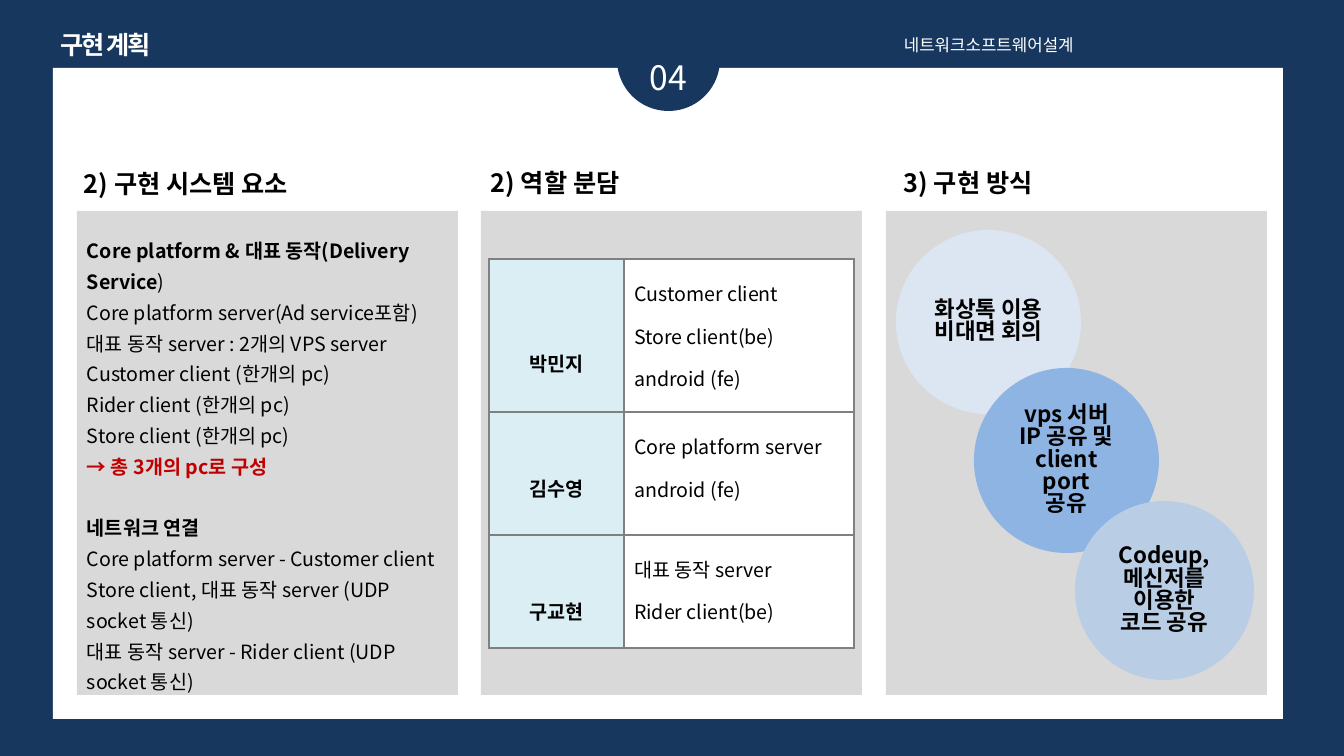
from dataclasses import dataclass

from lxml import etree
from pptx import Presentation
from pptx import util as u
from pptx.dml.color import RGBColor
from pptx.enum import shapes, text
from pptx.oxml.ns import qn

PX = 12192000 / 1344  # EMU in one px
CENTER, JUSTIFY = text.PP_ALIGN.CENTER, text.PP_ALIGN.JUSTIFY
TOP, MIDDLE = text.MSO_ANCHOR.TOP, text.MSO_ANCHOR.MIDDLE


@dataclass(frozen=True)
class Theme:
    font: str = "Noto Sans CJK KR"
    navy: str = "17375E"
    white: str = "FFFFFF"
    black: str = "000000"
    red: str = "C00000"
    panel: str = "D9D9D9"
    name_cell: str = "DBEEF4"
    border: str = "808080"
    circles: tuple = ("DCE6F2", "8EB4E3", "B9CDE5")
    heading: int = 18
    badge: int = 24
    course: int = 12
    body: int = 14
    circle: int = 16


THEME = Theme()
COLUMN_X = [77 + i * 809 // 2 for i in range(3)]
HEADINGS = [(74, 163, "2) 구현 시스템 요소"), (481, 162, "2) 역할 분담"),
            (894, 162, "3) 구현 방식")]

BOLD = {"bold": True}
RED_BOLD = {"bold": True, "color": THEME.red}
SYSTEM_LINES = [
    [("Core platform & 대표 동작(Delivery Service", BOLD), (")", {})],
    "Core platform server(Ad service포함)",
    "대표 동작 server : 2개의 VPS server",
    "Customer client (한개의 pc)",
    "Rider client (한개의 pc)",
    "Store client (한개의 pc)",
    [("→ 총 3개의 pc로 구성", RED_BOLD)],
]
NETWORK_LINES = [
    [("네트워크 연결", BOLD)],
    "Core platform server - Customer client",
    "Store client, 대표 동작 server (UDP socket 통신)",
    "대표 동작 server - Rider client (UDP socket 통신)",
]
# row height, space above the name, name, tasks
ROLES = [
    (153, 90, "박민지", ["Customer client", "Store client(be)", "android (fe)"]),
    (123, 62, "김수영", ["Core platform server", "android (fe)"]),
    (113, 62, "구교현", ["대표 동작 server", "Rider client(be)"]),
]
METHODS = [
    ((896, 230, 185, 184), ["화상톡 이용", "비대면 회의"]),
    ((974, 368, 185, 185), ["vps 서버 IP 공유 및", "client port", "공유"]),
    ((1075, 501, 179, 179), ["Codeup,", "메신저를 이용한", "코드 공유"]),
]


def px(*lengths):
    return [u.Emu(round(length * PX)) for length in lengths]


def rgb(value):
    return RGBColor.from_string(value)


def apply(target, values):
    for name, value in values.items():
        setattr(target, name, value)


def write(frame, lines, size, color=THEME.black, bold=False, spacing=None):
    """Each line is a string or a list of (text, format) runs."""
    for i, line in enumerate(lines):
        paragraph = frame.paragraphs[0] if i == 0 else frame.add_paragraph()
        apply(paragraph, spacing or {})
        for words, changes in [(line, {})] if isinstance(line, str) else line:
            run = paragraph.add_run()
            run.text = words
            style = {"name": THEME.font, "size": u.Pt(size), "bold": bold,
                     "color": color, **changes}
            run.font.color.rgb = rgb(style.pop("color"))
            apply(run.font, style)
            east_asian = etree.SubElement(run._r.get_or_add_rPr(), qn("a:ea"))
            east_asian.set("typeface", THEME.font)


def add_block(slide, kind, box, fill):
    block = slide.shapes.add_shape(kind, *px(*box))
    block.shadow.inherit = False
    block.fill.solid()
    block.fill.fore_color.rgb = rgb(fill)
    block.line.fill.background()
    return block


def add_label(slide, box, lines, size, **style):
    frame = slide.shapes.add_textbox(*px(*box)).text_frame
    frame.word_wrap = True
    write(frame, lines, size, **style)
    return frame


def set_title(slide, words):
    title = slide.shapes.title
    apply(title, dict(zip(("left", "top", "width", "height"), px(45, 24, 121, 40))))
    apply(title.text_frame, {"word_wrap": False, "vertical_anchor": TOP,
                             "auto_size": text.MSO_AUTO_SIZE.NONE})
    write(title.text_frame, [words], THEME.heading, THEME.white, True,
          {"alignment": CENTER})
    title.text_frame.paragraphs[0].runs[0]._r.get_or_add_rPr().set("spc", "-150")


def style_cell(cell, fill):
    properties = cell._tc.get_or_add_tcPr()
    for side in ("lnL", "lnR", "lnT", "lnB"):
        edge = etree.SubElement(properties, qn(f"a:{side}"), w=str(u.Pt(1)))
        paint = etree.SubElement(edge, qn("a:solidFill"))
        etree.SubElement(paint, qn("a:srgbClr"), val=THEME.border)
    cell.fill.solid()
    cell.fill.fore_color.rgb = rgb(fill)


def add_roles_table(slide):
    height = sum(role[0] for role in ROLES)
    table = slide.shapes.add_table(len(ROLES), 2, *px(489, 259, 365, height)).table
    apply(table, {"first_row": False, "horz_banding": False})
    for column, width in zip(table.columns, px(135, 230)):
        column.width = width
    for row, (row_height, pad, name, tasks) in zip(table.rows, ROLES):
        row.height = px(row_height)[0]
        name_cell, task_cell = row.cells
        style_cell(name_cell, THEME.name_cell)
        style_cell(task_cell, THEME.white)
        name_cell.margin_top = px(pad)[0]
        write(name_cell.text_frame, [name], THEME.body, bold=True,
              spacing={"alignment": CENTER})
        write(task_cell.text_frame, tasks, THEME.body, spacing={"line_spacing": 1.5})


def add_method(slide, box, lines, fill):
    frame = add_block(slide, shapes.MSO_SHAPE.OVAL, box, fill).text_frame
    apply(frame, {"word_wrap": True, "vertical_anchor": MIDDLE})
    write(frame, lines, THEME.circle, bold=True,
          spacing={"alignment": CENTER, "line_spacing": 0.83})


def main():
    deck = Presentation()
    deck.slide_width, deck.slide_height = px(1344, 756)
    slide = deck.slides.add_slide(deck.slide_layouts[5])
    slide.background.fill.solid()
    slide.background.fill.fore_color.rgb = rgb(THEME.navy)

    # Page frame and header
    add_block(slide, shapes.MSO_SHAPE.RECTANGLE, (53, 68, 1230, 651), THEME.white)
    add_block(slide, shapes.MSO_SHAPE.OVAL, (617, 8, 103, 103), THEME.navy)
    set_title(slide, "구현 계획")
    add_label(slide, (609, 52, 119, 50), ["04"], THEME.badge, color=THEME.white,
              spacing={"alignment": CENTER})
    add_label(slide, (894, 30, 397, 30), ["네트워크소프트웨어설계"], THEME.course,
              color=THEME.white, spacing={"alignment": JUSTIFY})

    # Three columns with headings
    for panel_x, (x, y, heading) in zip(COLUMN_X, HEADINGS):
        add_block(slide, shapes.MSO_SHAPE.RECTANGLE, (panel_x, 211, 381, 484), THEME.panel)
        add_label(slide, (x, y, 334, 40), [heading], THEME.heading, bold=True)

    # System parts and network links
    system = add_label(slide, (77, 227, 381, 477), SYSTEM_LINES + NETWORK_LINES,
                       THEME.body, spacing={"line_spacing": u.Pt(22)})
    system.paragraphs[len(SYSTEM_LINES)].space_before = u.Pt(22)

    # Roles and ways of working
    add_roles_table(slide)
    for (box, lines), fill in zip(METHODS, THEME.circles):
        add_method(slide, box, lines, fill)

    deck.save("out.pptx")


if __name__ == "__main__":
    main()
